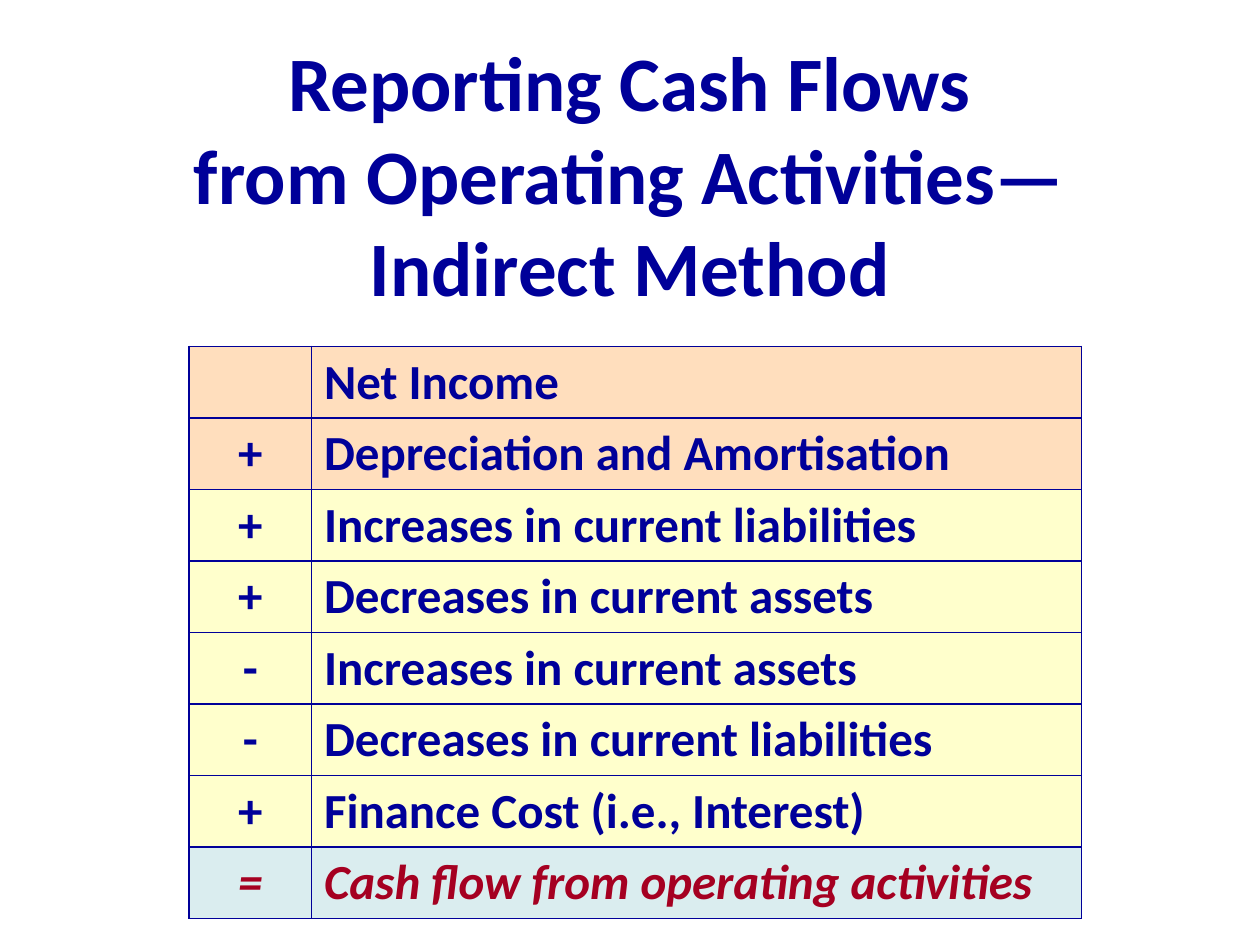
from lxml.etree import SubElement
from pptx import Presentation
from pptx.dml.color import RGBColor as RGB
from pptx.enum.text import MSO_ANCHOR as ANCHOR, PP_ALIGN as ALIGN
from pptx.oxml.ns import qn
from pptx.util import Pt

COLORS = {"navy": "000099", "red": "A50021", "peach": "FFDEBD",
          "yellow": "FFFFCC", "aqua": "DAEDEF"}


def write(tf, text, size=28, color="navy", align=ALIGN.LEFT, italic=False):
    p = tf.paragraphs[0]
    p.text = text
    p.alignment = align
    for r in p.runs:
        r.font.name = "Calibri"
        r.font.size = Pt(size)
        r.font.bold = True
        r.font.italic = italic
        r.font.color.rgb = RGB.from_string(COLORS[color])


def add_borders(cell, color="navy", width=1.08):
    tcPr = cell._tc.get_or_add_tcPr()
    for side in ("a:lnL", "a:lnR", "a:lnT", "a:lnB"):
        ln = SubElement(tcPr, qn(side), w=str(Pt(width)))
        fill = SubElement(ln, qn("a:solidFill"))
        SubElement(fill, qn("a:srgbClr"), val=COLORS[color])


prs = Presentation()
prs.slide_width, prs.slide_height = Pt(720), Pt(540)
s = prs.slides.add_slide(prs.slide_layouts[6])

title = s.shapes.add_textbox(Pt(36), Pt(18), Pt(648), Pt(162))
tf = title.text_frame
tf.word_wrap = True
tf.vertical_anchor = ANCHOR.MIDDLE
write(tf, "Reporting Cash Flows\vfrom Operating Activities—\vIndirect Method",
      size=44, align=ALIGN.CENTER)

rows = [
    ("", "Net Income", "peach"),
    ("+", "Depreciation and Amortisation", "peach"),
    ("+", "Increases in current liabilities", "yellow"),
    ("+", "Decreases in current assets", "yellow"),
    ("-", "Increases in current assets", "yellow"),
    ("-", "Decreases in current liabilities", "yellow"),
    ("+", "Finance Cost (i.e., Interest)", "yellow"),
    ("=", "Cash flow from operating activities", "aqua"),
]
frame = s.shapes.add_table(len(rows), 2, Pt(108), Pt(198), Pt(510), Pt(326.4))
table = frame.table
table.columns[0].width, table.columns[1].width = Pt(70), Pt(440)

for i, (sign, item, fill) in enumerate(rows):
    table.rows[i].height = Pt(40.8)
    total = sign == "="
    for j, (text, align) in enumerate([(sign, ALIGN.CENTER), (item, ALIGN.LEFT)]):
        cell = table.cell(i, j)
        add_borders(cell)
        cell.fill.solid()
        cell.fill.fore_color.rgb = RGB.from_string(COLORS[fill])
        write(cell.text_frame, text, align=align, italic=total,
              color="red" if total else "navy")

prs.save("out.pptx")
